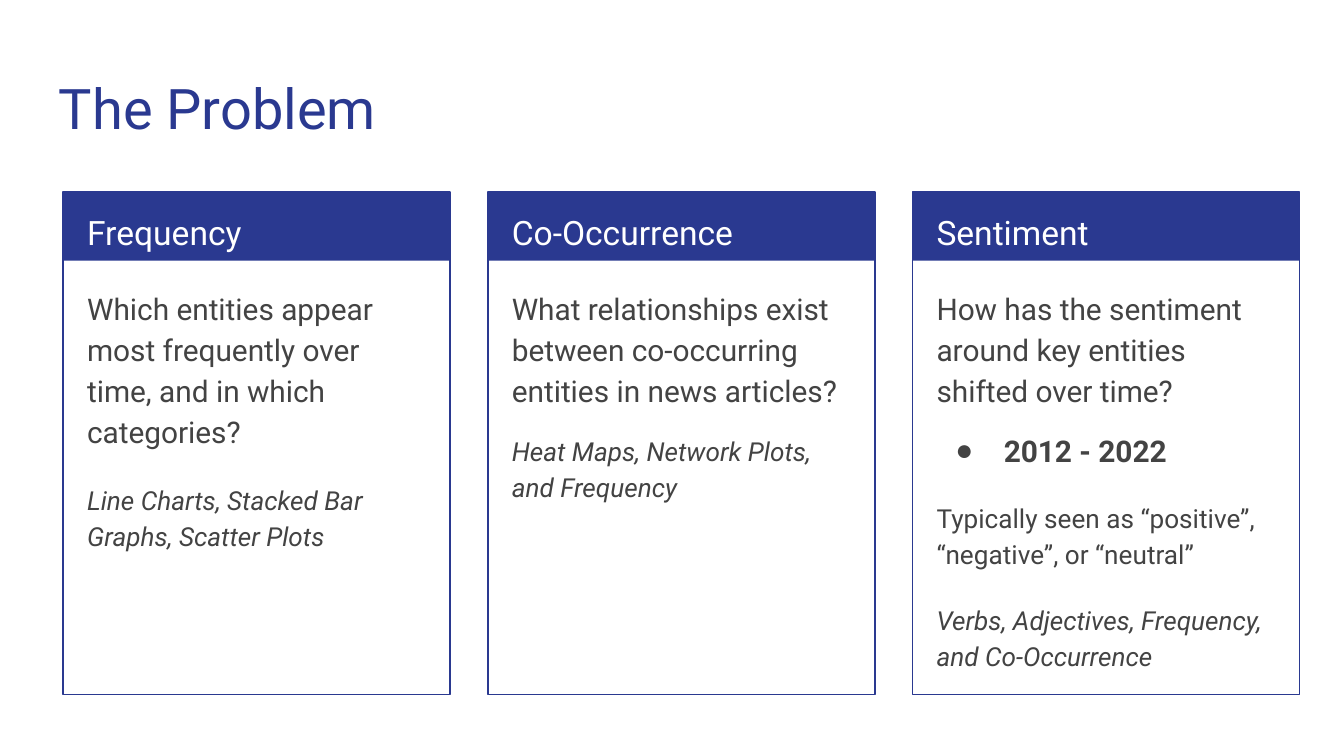
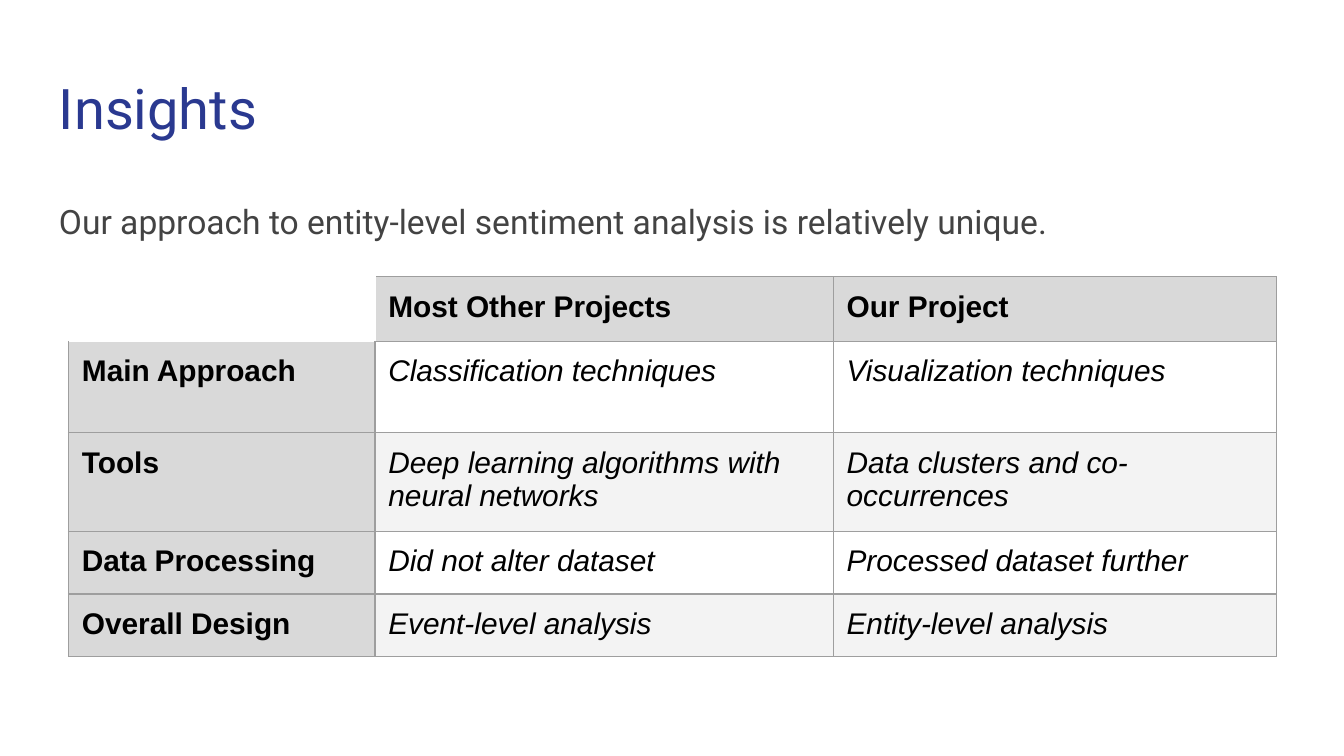
from dataclasses import dataclass

from lxml import etree
from pptx import Presentation
from pptx.dml.color import RGBColor
from pptx.enum.shapes import MSO_SHAPE
from pptx.oxml.ns import qn
from pptx.slide import Slide
from pptx.table import _Cell
from pptx.text.text import TextFrame, _Paragraph
from pptx.util import Inches, Pt

RECTANGLE = MSO_SHAPE.RECTANGLE

NAVY = RGBColor(0x2A, 0x39, 0x90)
CHARCOAL = RGBColor(0x43, 0x43, 0x43)
BLACK = RGBColor(0x00, 0x00, 0x00)
WHITE = RGBColor(0xFF, 0xFF, 0xFF)
HEADER_GREY = RGBColor(0xD9, 0xD9, 0xD9)
BAND_GREY = RGBColor(0xF3, 0xF3, 0xF3)
BORDER_GREY = RGBColor(0x9E, 0x9E, 0x9E)

SLIDE_FONT = "Roboto"
TABLE_FONT = "Arial"
INSET = Inches(0.1)
BODY_SPACING = 1.15

# Card grid
CARD_LEFT, CARD_TOP, CARD_STEP = 0.47, 1.43, 3.16
CARD_WIDTH, CARD_HEIGHT, HEADER_HEIGHT = 2.88, 3.74, 0.51

# Table grid; rows grow to hold their text
COLUMN_WIDTHS = (2.28, 3.41, 3.3)
ROW_HEIGHTS = (0.48, 0.68, 0.42, 0.42, 0.43)
TABLE_ROWS = (
    ("", "Most Other Projects", "Our Project"),
    ("Main Approach", "Classification techniques", "Visualization techniques"),
    ("Tools", "Deep learning algorithms with neural networks",
     "Data clusters and co-occurrences"),
    ("Data Processing", "Did not alter dataset", "Processed dataset further"),
    ("Overall Design", "Event-level analysis", "Entity-level analysis"),
)


@dataclass(frozen=True)
class Line:
    text: str
    size: int = 16
    color: RGBColor = CHARCOAL
    bold: bool = False
    italic: bool = False
    before: int = 0
    spacing: float = BODY_SPACING
    bullet: bool = False
    font: str = SLIDE_FONT


@dataclass(frozen=True)
class Card:
    heading: str
    lines: tuple[Line, ...]


CARDS = (
    Card("Frequency", (
        Line("Which entities appear most frequently over time, and in which categories?"),
        Line("Line Charts, Stacked Bar Graphs, Scatter Plots", 14, italic=True, before=16),
    )),
    Card("Co-Occurrence", (
        Line("What relationships exist between co-occurring entities in news articles?"),
        Line("Heat Maps, Network Plots, and Frequency", 14, italic=True, before=12),
    )),
    Card("Sentiment", (
        Line("How has the sentiment around key entities shifted over time?"),
        Line("2012 - 2022", bold=True, before=10, bullet=True),
        Line("Typically seen as “positive”, “negative”, or “neutral”", 14, before=16),
        Line("Verbs, Adjectives, Frequency, and Co-Occurrence", 14, italic=True, before=16),
    )),
)


def add_bullet(paragraph: _Paragraph, line: Line) -> None:
    properties = paragraph._p.get_or_add_pPr()
    properties.set("marL", str(Inches(0.5)))
    properties.set("indent", str(Inches(-0.36)))
    bullet_color = etree.SubElement(properties, qn("a:buClr"))
    etree.SubElement(bullet_color, qn("a:srgbClr"), val=str(line.color))
    etree.SubElement(properties, qn("a:buSzPts"), val=str(line.size * 100))
    etree.SubElement(properties, qn("a:buFont"), typeface=TABLE_FONT)
    etree.SubElement(properties, qn("a:buChar"), char="●")


def write_line(paragraph: _Paragraph, line: Line) -> None:
    paragraph.text = line.text
    paragraph.line_spacing = line.spacing
    paragraph.space_before = Pt(line.before)
    if line.bullet:
        add_bullet(paragraph, line)
    font = paragraph.font
    font.name, font.size = line.font, Pt(line.size)
    font.bold, font.italic = line.bold, line.italic
    font.color.rgb = line.color
    # The paragraph mark must not stretch the last line
    paragraph._p.get_or_add_endParaRPr().set("sz", str(line.size * 100))


def write_lines(frame: TextFrame, lines: tuple[Line, ...]) -> None:
    for index, line in enumerate(lines):
        write_line(frame.add_paragraph() if index else frame.paragraphs[0], line)


def add_text(slide: Slide, left: float, top: float, width: float, height: float,
             *lines: Line) -> None:
    box = slide.shapes.add_textbox(Inches(left), Inches(top), Inches(width), Inches(height))
    frame = box.text_frame
    frame.word_wrap = True
    frame.margin_left = frame.margin_right = INSET
    frame.margin_top = frame.margin_bottom = INSET
    write_lines(frame, lines)


def add_rectangle(slide: Slide, left: float, height: float, filled: bool) -> None:
    shape = slide.shapes.add_shape(RECTANGLE, Inches(left), Inches(CARD_TOP),
                                   Inches(CARD_WIDTH), Inches(height))
    shape.shadow.inherit = False
    if filled:
        shape.fill.solid()
        shape.fill.fore_color.rgb = NAVY
        shape.line.fill.background()
    else:
        shape.fill.background()
        shape.line.color.rgb = NAVY
        shape.line.width = Pt(0.75)


def add_card(slide: Slide, left: float, card: Card) -> None:
    add_rectangle(slide, left, HEADER_HEIGHT, filled=True)
    add_rectangle(slide, left, CARD_HEIGHT, filled=False)
    add_text(slide, left + 0.08, CARD_TOP, 2.73, 0.5, Line(card.heading, 18, WHITE))
    add_text(slide, left + 0.08, 2.02, 2.71, 3.06, *card.lines)


def add_titled_slide(presentation: Presentation, title: str) -> Slide:
    slide = presentation.slides.add_slide(presentation.slide_layouts[6])
    slide.background.fill.solid()
    slide.background.fill.fore_color.rgb = WHITE
    add_text(slide, 0.34, 0.45, 9.32, 0.66, Line(title, 30, NAVY, spacing=1.0))
    return slide


def set_borders(cell: _Cell, row: int, column: int) -> None:
    """Draw grey borders, but white ones around the empty corner cell."""
    corner = row == column == 0
    white_sides = {
        "L": corner or (row, column) == (0, 1),
        "R": corner,
        "T": corner or (row, column) == (1, 0),
        "B": corner,
    }
    properties = cell._tc.get_or_add_tcPr()
    for side, is_white in white_sides.items():
        border = etree.SubElement(properties, qn(f"a:ln{side}"), w=str(Pt(0.75)))
        fill = etree.SubElement(border, qn("a:solidFill"))
        color = WHITE if is_white else BORDER_GREY
        etree.SubElement(fill, qn("a:srgbClr"), val=str(color))


def cell_fill(row: int, column: int) -> RGBColor:
    if row == column == 0:
        return WHITE
    if row == 0 or column == 0:
        return HEADER_GREY
    return WHITE if row % 2 else BAND_GREY


def add_comparison_table(slide: Slide) -> None:
    frame = slide.shapes.add_table(
        len(ROW_HEIGHTS), len(COLUMN_WIDTHS), Inches(0.51), Inches(2.06),
        Inches(sum(COLUMN_WIDTHS)), Inches(sum(ROW_HEIGHTS)))
    table = frame.table
    table.first_row = table.horz_banding = False
    for column, width in zip(table.columns, COLUMN_WIDTHS):
        column.width = Inches(width)
    for row, height in zip(table.rows, ROW_HEIGHTS):
        row.height = Inches(height)
    for row, texts in enumerate(TABLE_ROWS):
        for column, text in enumerate(texts):
            cell = table.cell(row, column)
            cell.margin_left = cell.margin_right = INSET
            cell.margin_top = cell.margin_bottom = INSET
            set_borders(cell, row, column)
            cell.fill.solid()
            cell.fill.fore_color.rgb = cell_fill(row, column)
            is_header = row == 0 or column == 0
            write_line(cell.text_frame.paragraphs[0],
                       Line(text, 16, BLACK, bold=is_header, italic=not is_header,
                            spacing=1.0, font=TABLE_FONT))


def main() -> None:
    presentation = Presentation()
    presentation.slide_width = Inches(10)
    presentation.slide_height = Inches(10) * 9 // 16

    # Slide 1: three question cards
    problem = add_titled_slide(presentation, "The Problem")
    for index, card in enumerate(CARDS):
        add_card(problem, CARD_LEFT + index * CARD_STEP, card)

    # Slide 2: comparison with other projects
    insights = add_titled_slide(presentation, "Insights")
    add_text(insights, 0.34, 1.35, 9.32, 3.65,
             Line("Our approach to entity-level sentiment analysis is relatively unique.", 18))
    add_comparison_table(insights)

    presentation.save("out.pptx")


if __name__ == "__main__":
    main()
